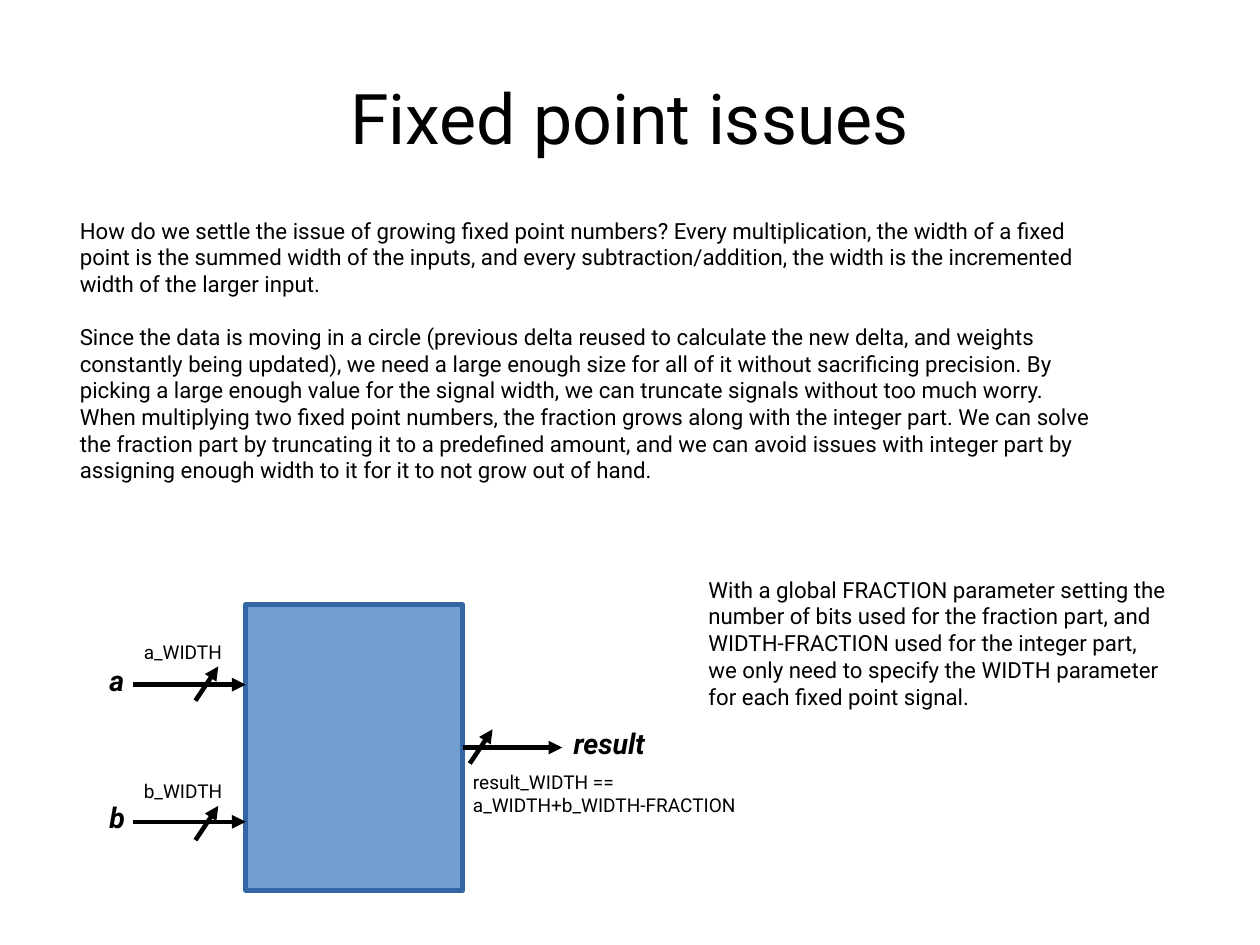
"""Build the slide on fixed point issues, with a block diagram of signal widths."""
from lxml.etree import SubElement
from pptx import Presentation
from pptx.dml.color import RGBColor
from pptx.enum.shapes import MSO_CONNECTOR, MSO_SHAPE
from pptx.enum.text import MSO_ANCHOR, PP_ALIGN
from pptx.oxml.ns import qn
from pptx.util import Inches, Pt

COLORS = {"text": "000000", "wire": "000000", "block": "729FCF", "edge": "3465A4"}
FONT = "Roboto"
UNIT = Inches(0.1)
LINE = Pt(2.89)

prs = Presentation()
prs.slide_width, prs.slide_height = Pt(793.75), Pt(595.25)
s = prs.slides.add_slide(prs.slide_layouts[6])


def add_text(col, row, cols, rows, paragraphs, size, strong=False):
    box = s.shapes.add_textbox(*(round(n * UNIT) for n in (col, row, cols, rows)))
    tf = box.text_frame
    tf.word_wrap = True
    tf.text = "\n".join(paragraphs)
    for p in tf.paragraphs:
        for r in p.runs:
            r.font.name, r.font.size = FONT, Pt(size)
            r.font.bold = r.font.italic = strong
            r.font.color.rgb = RGBColor.from_string(COLORS["text"])
    return tf


def add_arrow(kind, col1, row1, col2, row2):
    ends = (round(n * UNIT) for n in (col1, row1, col2, row2))
    wire = s.shapes.add_connector(kind, *ends)
    wire.line.color.rgb = RGBColor.from_string(COLORS["wire"])
    wire.line.width = LINE
    SubElement(wire.line._get_or_add_ln(), qn("a:tailEnd"), type="triangle")
    SubElement(wire._element.spPr, qn("a:effectLst"))


title = add_text(5.5, 3.3, 99.2, 13.8, ["Fixed point issues"], 44)
title.vertical_anchor = MSO_ANCHOR.MIDDLE
title.margin_left = title.margin_right = title.margin_top = title.margin_bottom = 0
title.paragraphs[0].alignment = PP_ALIGN.CENTER

body = add_text(6, 18.5, 92, 29.6, [
    "How do we settle the issue of growing fixed point numbers? Every multiplication, "
    "the width of a fixed point is the summed width of the inputs, and every "
    "subtraction/addition, the width is the incremented width of the larger input.",
    "Since the data is moving in a circle (previous delta reused to calculate the new "
    "delta, and weights constantly being updated), we need a large enough size for all "
    "of it without sacrificing precision. By picking a large enough value for the "
    "signal width, we can truncate signals without too much worry.",
    "When multiplying two fixed point numbers, the fraction grows along with the "
    "integer part. We can solve the fraction part by truncating it to a predefined "
    "amount, and we can avoid issues with integer part by assigning enough width to it "
    "for it to not grow out of hand.",
], 14)
body.paragraphs[1].space_before = Pt(16.5)

add_text(61, 49.9, 42, 18.2, [
    "With a global FRACTION parameter setting the number of bits used for the fraction "
    "part, and WIDTH-FRACTION used for the integer part, we only need to specify the "
    "WIDTH parameter for each fixed point signal."
], 14)

sp = s.shapes.add_shape(MSO_SHAPE.RECTANGLE, *(round(n * UNIT) for n in (21.5, 52.9, 19, 25)))
sp.shadow.inherit = False
sp.fill.solid()
sp.fill.fore_color.rgb = RGBColor.from_string(COLORS["block"])
sp.line.color.rgb = RGBColor.from_string(COLORS["edge"])
sp.line.width = LINE

signals = [
    ("a", 8.6, 3, 11.6, 21.5, 59.9, 17.1, 61.3),
    ("b", 8.6, 3, 11.6, 21.5, 71.9, 17.1, 73.5),
    ("result", 49.2, 13.3, 40.5, 49.2, 65.4, 41.1, 66.8),
]
for name, name_col, name_cols, start, end, row, slash_col, slash_row in signals:
    add_text(name_col, row - 2.4, name_cols, 4.8, [name], 18, strong=True)
    add_arrow(MSO_CONNECTOR.ELBOW, start, row, end, row)
    add_arrow(MSO_CONNECTOR.STRAIGHT, slash_col, slash_row, slash_col + 2, slash_row - 3)

widths = [
    ("a_WIDTH", 11.6, 55.5, 14, 3.5),
    ("b_WIDTH", 11.6, 67.7, 14, 3.5),
    ("result_WIDTH == a_WIDTH+b_WIDTH-FRACTION", 40.4, 66.9, 29.6, 13.3),
]
for label, *place in widths:
    add_text(*place, [label], 12)

prs.save("out.pptx")
